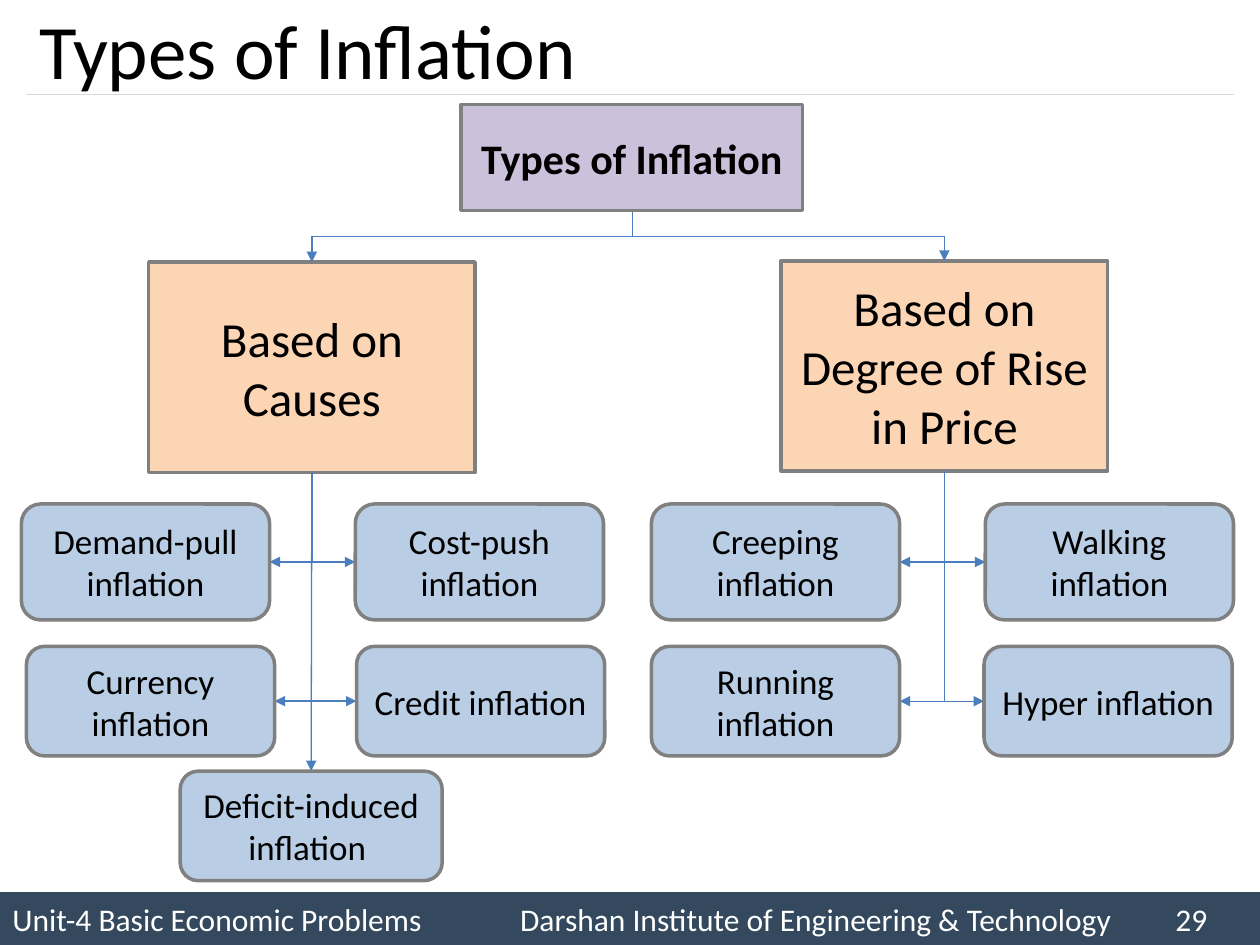
from dataclasses import dataclass

from lxml.etree import SubElement
from pptx import Presentation
from pptx.dml.color import RGBColor
from pptx.enum.shapes import MSO_CONNECTOR as Link, MSO_SHAPE as Shape
from pptx.enum.text import MSO_ANCHOR as Anchor, MSO_AUTO_SIZE as AutoSize, PP_ALIGN as Align
from pptx.oxml.ns import qn
from pptx.util import Inches, Pt


@dataclass(frozen=True)
class Theme:
    """Colours, font and type sizes of the slide."""
    font: str = "Calibri"
    ink: str = "000000"
    white: str = "FFFFFF"
    bar: str = "34495E"
    rule: str = "D9D9D9"
    border: str = "808080"
    arrow: str = "4B7EBC"
    root: str = "CCC1DA"
    basis: str = "FCD5B5"
    leaf: str = "B9CDE5"
    title_size: int = 44
    basis_size: int = 28
    root_size: int = 24
    leaf_size: int = 20
    footer_size: int = 18


THEME = Theme()
UPPER_ROW = (4, 0.92)
LOWER_ROW = (5.13, 0.87)
LEAF_WIDTH = 1.97
BASIS_SIZE = (2.59, 1.67)
BASES = [
    ("Based on Causes", 1.18, 2.08, [
        (UPPER_ROW, ("Demand-pull inflation", 0.17), ("Cost-push inflation", 2.82)),
        (LOWER_ROW, ("Currency inflation", 0.21), ("Credit inflation", 2.83)),
    ]),
    ("Based on Degree of Rise in Price", 6.2, 2.07, [
        (UPPER_ROW, ("Creeping inflation", 5.17), ("Walking inflation", 7.82)),
        (LOWER_ROW, ("Running inflation", 5.17), ("Hyper inflation", 7.81)),
    ]),
]


def write_text(shape, text, size, color=THEME.ink, bold=False, align=Align.CENTER, wrap=True):
    """Fill a shape with one formatted, vertically centred paragraph."""
    frame = shape.text_frame
    frame.auto_size = AutoSize.NONE
    frame.word_wrap = wrap
    frame.vertical_anchor = Anchor.MIDDLE
    para = frame.paragraphs[0]
    para.alignment = align
    span = para.add_run()
    span.text = text
    span.font.name = THEME.font
    span.font.size = Pt(size)
    span.font.bold = bold
    span.font.color.rgb = RGBColor.from_string(color)
    return para


def add_box(page, place, fill, kind=Shape.RECTANGLE, border=THEME.border):
    """Add a filled shape, outlined unless border is None."""
    box = page.shapes.add_shape(kind, *(Inches(length) for length in place))
    box.shadow.inherit = False
    box.fill.solid()
    box.fill.fore_color.rgb = RGBColor.from_string(fill)
    if border:
        box.line.color.rgb = RGBColor.from_string(border)
        box.line.width = Pt(2)
    else:
        box.line.fill.background()
    return box


def add_line(page, start, end, kind=Link.STRAIGHT, color=THEME.arrow, arrow=True):
    """Add a thin connector, with an arrowhead at its end on request."""
    line = page.shapes.add_connector(kind, *(Inches(length) for length in (*start, *end)))
    line.line.color.rgb = RGBColor.from_string(color)
    line.line.width = Pt(0.75)
    if arrow:
        SubElement(line.line._get_or_add_ln(), qn("a:tailEnd"), type="triangle")
    SubElement(line._element.spPr, qn("a:effectLst"))
    return line


def add_elbow(page, start, end, preset):
    """Add a bent arrow that leaves start downwards and turns towards end."""
    across, down = abs(end[0] - start[0]), end[1] - start[1]
    left = (start[0] + end[0] - down) / 2
    top = (start[1] + end[1] - across) / 2
    elbow = add_line(page, (left, top), (left + down, top + across), Link.ELBOW)
    properties = elbow._element.spPr
    properties.find(qn("a:prstGeom")).set("prst", preset)
    frame = properties.find(qn("a:xfrm"))
    if end[0] < start[0]:
        frame.set("rot", str(90 * 60000))
    else:
        frame.set("rot", str(270 * 60000))
        frame.set("flipH", "1")


def add_leaf(page, text, place):
    """Add one rounded box naming a type of inflation."""
    box = add_box(page, place, THEME.leaf, Shape.ROUNDED_RECTANGLE)
    write_text(box, text, THEME.leaf_size)
    return box


def add_basis(page, text, left, top, rows, root_foot):
    """Add a classification box with its arrows and pairs of leaves."""
    width, height = BASIS_SIZE
    middle = left + width / 2
    foot = (middle, top + height)
    box = add_box(page, (left, top, width, height), THEME.basis)
    write_text(box, text, THEME.basis_size)
    add_elbow(page, root_foot, (middle, top), "bentConnector3")
    for (row_top, row_height), (near, near_left), (far, far_left) in rows:
        level = row_top + row_height / 2
        add_elbow(page, foot, (near_left + LEAF_WIDTH, level), "bentConnector2")
        add_elbow(page, foot, (far_left, level), "bentConnector2")
        for name, leaf_left in ((near, near_left), (far, far_left)):
            add_leaf(page, name, (leaf_left, row_top, LEAF_WIDTH, row_height))
    return box


def add_footer(page):
    """Add the footer bar, its parts set apart by tab stops."""
    bar = add_box(page, (0, 7.08, 10, 0.42), THEME.bar, border=None)
    parts = ("Unit-4 Basic Economic Problems", "Darshan Institute of Engineering & Technology", "29")
    para = write_text(bar, "\t".join(parts), THEME.footer_size, color=THEME.white, align=Align.LEFT)
    stops = SubElement(para._p.get_or_add_pPr(), qn("a:tabLst"))
    for stop in (4.03, 9.23):
        SubElement(stops, qn("a:tab"), pos=str(Inches(stop)), algn="l")


def add_title(page, text):
    """Place and format the title placeholder."""
    title = page.shapes.title
    title.left, title.top, title.width, title.height = map(Inches, (0.21, -0.05, 9.58, 0.88))
    write_text(title, text, THEME.title_size, align=Align.LEFT, wrap=False)


def main():
    """Build the slide and save the deck."""
    deck = Presentation()
    deck.slide_width, deck.slide_height = Inches(10), Inches(7.5)
    page = deck.slides.add_slide(deck.slide_layouts[5])
    add_footer(page)
    add_line(page, (0.21, 0.75), (9.79, 0.75), color=THEME.rule, arrow=False)
    add_title(page, "Types of Inflation")
    root = add_box(page, (3.66, 0.83, 2.71, 0.84), THEME.root)
    write_text(root, "Types of Inflation", THEME.root_size, bold=True)
    causes, _ = [add_basis(page, *basis, root_foot=(5.02, 1.68)) for basis in BASES]
    deficit = add_leaf(page, "Deficit-induced inflation ", (1.43, 6.12, 2.08, 0.87))
    stem = add_line(page, (2.48, 3.75), (2.47, 6.12))
    stem.begin_connect(causes, 2)
    stem.end_connect(deficit, 0)
    deck.save("out.pptx")


if __name__ == "__main__":
    main()
